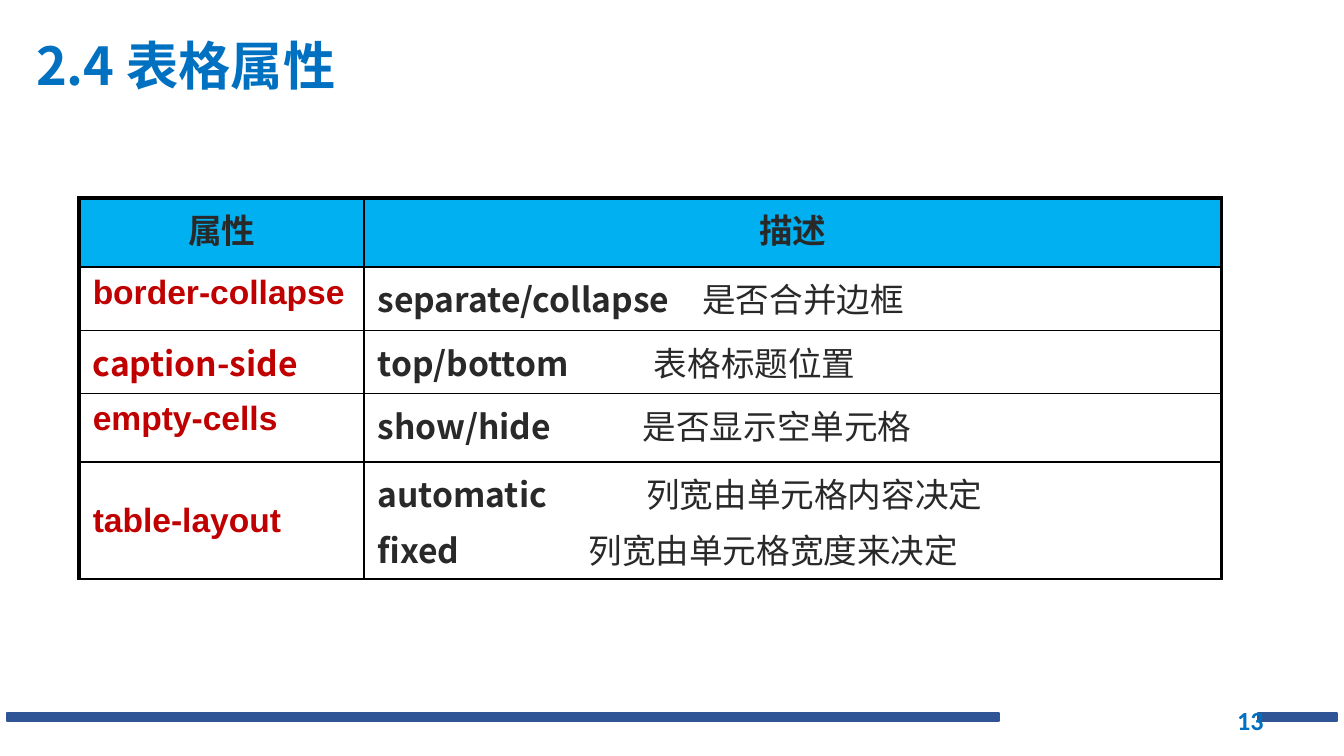
import pptx
import pptx.util
import pptx.dml.color
import pptx.enum.shapes
import pptx.enum.text
import pptx.oxml.ns
from lxml import etree

Pt = pptx.util.Pt
RGBColor = pptx.dml.color.RGBColor
PP_ALIGN = pptx.enum.text.PP_ALIGN
MSO_ANCHOR = pptx.enum.text.MSO_ANCHOR
qn = pptx.oxml.ns.qn

BLUE = RGBColor(0x00, 0x70, 0xC0)
BAR_BLUE = RGBColor(0x2F, 0x55, 0x97)
HEADER_BLUE = RGBColor(0x00, 0xB0, 0xF0)
INK = RGBColor(0x29, 0x29, 0x29)
RED = RGBColor(0xC0, 0x00, 0x00)
BLACK = RGBColor(0, 0, 0)
SANS = "Noto Sans CJK SC"


def add_text(p, text, size=18, font=SANS, color=INK, bold=True, align=PP_ALIGN.LEFT):
    p.alignment = align
    r = p.add_run()
    r.text = text
    r.font.size = Pt(size)
    r.font.name = font
    r.font.bold = bold
    r.font.color.rgb = color
    ea = etree.SubElement(r.font._element, qn("a:ea"))
    ea.set("typeface", font)


def add_border(cell, side, width):
    ln = etree.SubElement(cell._tc.get_or_add_tcPr(), qn("a:ln" + side))
    ln.set("w", str(Pt(width)))
    fill = etree.SubElement(ln, qn("a:solidFill"))
    etree.SubElement(fill, qn("a:srgbClr")).set("val", str(BLACK))


prs = pptx.Presentation()
prs.slide_width = Pt(720)
prs.slide_height = Pt(405)
s = prs.slides.add_slide(prs.slide_layouts[5])

title = s.shapes.title
title.left, title.top, title.width, title.height = Pt(12.2), Pt(0.7), Pt(648), Pt(67.7)
tf = title.text_frame
tf.auto_size = pptx.enum.text.MSO_AUTO_SIZE.NONE
tf.vertical_anchor = MSO_ANCHOR.MIDDLE
add_text(tf.paragraphs[0], "2.4 表格属性", size=28, color=BLUE)

for left, width in [(3.6, 531.4), (673.9, 42.5)]:
    bar = s.shapes.add_shape(pptx.enum.shapes.MSO_SHAPE.RECTANGLE,
                             Pt(left), Pt(382.1), Pt(width), Pt(4.3))
    bar.shadow.inherit = False
    bar.fill.solid()
    bar.fill.fore_color.rgb = BAR_BLUE
    bar.line.color.rgb = BAR_BLUE
    bar.line.width = Pt(1)

number = s.shapes.add_textbox(Pt(516.2), Pt(375.1), Pt(167.8), Pt(21.6))
tf = number.text_frame
tf.word_wrap = True
tf.vertical_anchor = MSO_ANCHOR.MIDDLE
add_text(tf.paragraphs[0], "13", size=14, font="Calibri", color=BLUE, align=PP_ALIGN.RIGHT)

properties = [
    ("border-collapse", "Arial", [("separate/collapse", 174, "是否合并边框")]),
    ("caption-side", SANS, [("top/bottom", 148, "表格标题位置")]),
    ("empty-cells", "Arial", [("show/hide", 142, "是否显示空单元格")]),
    ("table-layout", "Arial", [("automatic", 144, "列宽由单元格内容决定"),
                               ("fixed", 113, "列宽由单元格宽度来决定")]),
]
row_heights = [37.2, 33.8, 33.8, 36.9, 62.6]
table = s.shapes.add_table(len(row_heights), 2, Pt(42.5), Pt(106),
                           Pt(612), Pt(sum(row_heights))).table
table.first_row = False
table.horz_banding = False
for column, width in zip(table.columns, [152.6, 459.4]):
    column.width = Pt(width)
for row, height in zip(table.rows, row_heights):
    row.height = Pt(height)

for i in range(len(row_heights)):
    for j in range(2):
        cell = table.cell(i, j)
        add_border(cell, "L", 2.25 if j == 0 else 1)
        add_border(cell, "R", 2.25 if j == 1 else 1)
        add_border(cell, "T", 2.25 if i == 0 else 1)
        add_border(cell, "B", 1)
        if i == 0:
            cell.fill.solid()
            cell.fill.fore_color.rgb = HEADER_BLUE
        else:
            cell.fill.background()

for j, heading in enumerate(["属性", "描述"]):
    add_text(table.cell(0, j).text_frame.paragraphs[0], heading, align=PP_ALIGN.CENTER)

for i, (name, font, options) in enumerate(properties, 1):
    add_text(table.cell(i, 0).text_frame.paragraphs[0], name, font=font, color=RED)
    tf = table.cell(i, 1).text_frame
    for n, (values, tab, meaning) in enumerate(options):
        p = tf.add_paragraph() if n else tf.paragraphs[0]
        if n:
            p.space_before = Pt(3.6)
        add_text(p, values + "\t")
        add_text(p, meaning, bold=False)
        tabs = etree.SubElement(p._p.get_or_add_pPr(), qn("a:tabLst"))
        stop = etree.SubElement(tabs, qn("a:tab"))
        stop.set("pos", str(Pt(tab)))
        stop.set("algn", "l")
table.cell(4, 0).vertical_anchor = MSO_ANCHOR.MIDDLE

prs.save("out.pptx")
